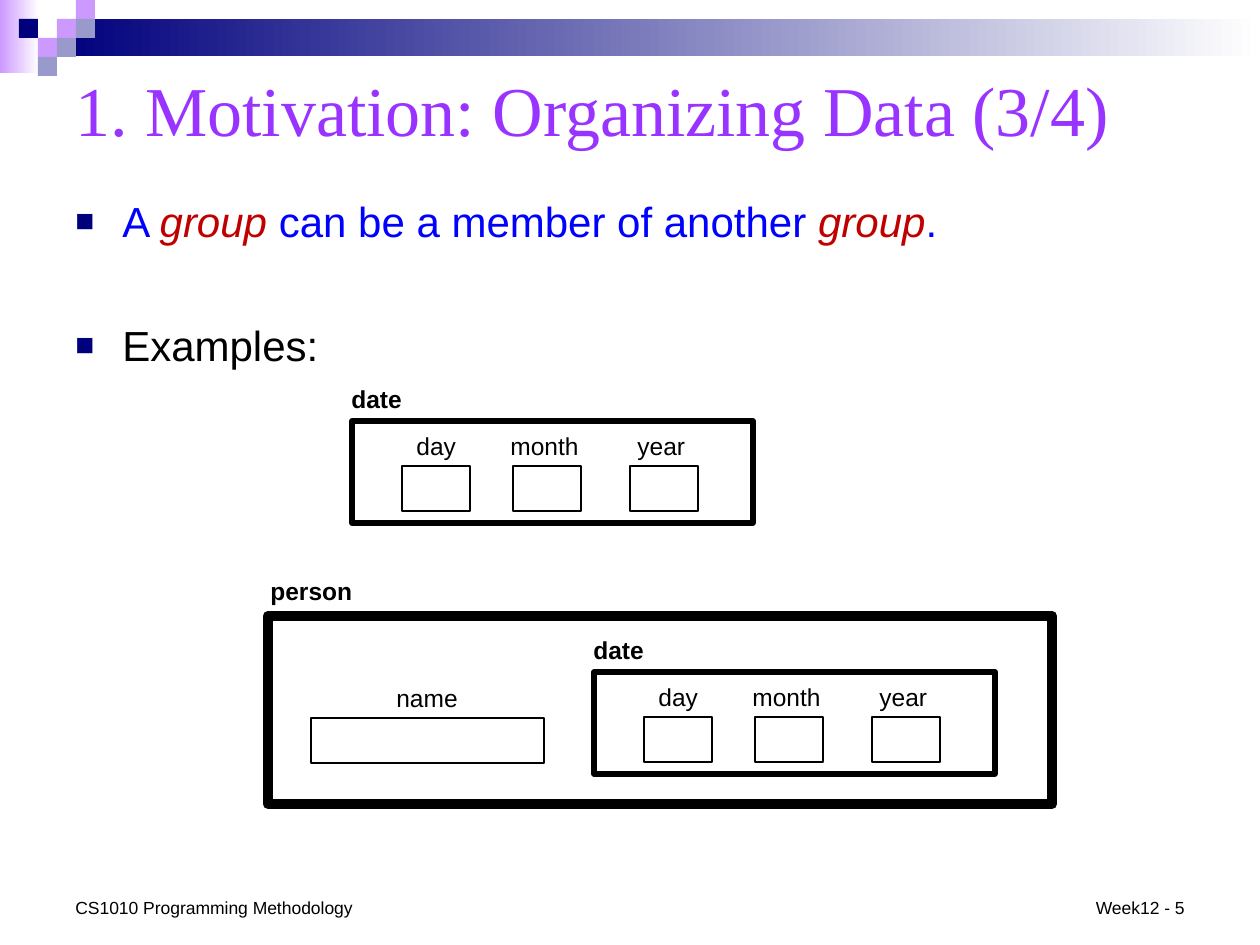
"""Build the slide on nested groups of data."""
import dataclasses

import lxml.etree
import pptx
import pptx.dml.color
import pptx.enum.shapes
import pptx.enum.text
import pptx.oxml.ns
import pptx.util

ANCHOR = pptx.enum.text.MSO_ANCHOR
ALIGN = pptx.enum.text.PP_ALIGN


@dataclasses.dataclass(frozen=True)
class Theme:
    sans: str = "Arial"
    serif: str = "Times New Roman"
    black: str = "000000"
    white: str = "FFFFFF"
    navy: str = "00007D"
    lilac: str = "CC99FF"
    slate: str = "9999CC"
    purple: str = "9933FF"
    blue: str = "0000FF"
    red: str = "C00000"
    title: int = 40
    body: int = 24
    label: int = 14
    foot: int = 10


def px(num):
    return pptx.util.Emu(round(num * 914400 / 126))


def rgb(code):
    return pptx.dml.color.RGBColor.from_string(code)


class Deck:
    def __init__(self, theme):
        self.theme = theme
        self.file = pptx.Presentation()
        self.file.slide_width = px(1260)
        self.file.slide_height = px(945)
        self.slide = self.file.slides.add_slide(self.file.slide_layouts[6])
        self.layer = self.slide.shapes

    def group(self):
        self.layer = self.slide.shapes.add_group_shape().shapes

    def ungroup(self):
        self.layer = self.slide.shapes

    def box(self, x, y, w, h, fill=None, line=0):
        kind = pptx.enum.shapes.MSO_SHAPE.RECTANGLE
        shape = self.layer.add_shape(kind, px(x), px(y), px(w), px(h))
        shape.shadow.inherit = False
        if fill:
            shape.fill.solid()
            shape.fill.fore_color.rgb = rgb(fill)
        else:
            shape.fill.background()
        if line:
            shape.line.color.rgb = rgb(self.theme.black)
            shape.line.width = pptx.util.Pt(line)
        else:
            shape.line.fill.background()
        return shape

    def fade(self, x, y, w, h, start):
        fill = self.box(x, y, w, h).fill
        fill.gradient()
        fill.gradient_angle = 0
        ends = (start, self.theme.white)
        for place, (stop, tint) in enumerate(zip(fill.gradient_stops, ends)):
            stop.position = place
            stop.color.rgb = rgb(tint)

    def style(self, run, size, tint, face=None, bold=False, slant=False):
        font = run.font
        font.name = face or self.theme.sans
        font.size = pptx.util.Pt(size)
        font.color.rgb = rgb(tint)
        font.bold = bold
        font.italic = slant

    def frame(self, x, y, w, h, anchor=ANCHOR.TOP):
        text = self.layer.add_textbox(px(x), px(y), px(w), px(h)).text_frame
        text.word_wrap = True
        text.vertical_anchor = anchor
        return text

    def text(self, x, y, w, h, words, size, tint=None, face=None, bold=False,
             anchor=ANCHOR.TOP, align=ALIGN.LEFT):
        text = self.frame(x, y, w, h, anchor)
        text.text = words
        line = text.paragraphs[0]
        line.alignment = align
        self.style(line.runs[0], size, tint or self.theme.black, face, bold)

    def label(self, x, y, w, words, bold=False):
        self.text(x, y, w, 43, words, self.theme.label, bold=bold)

    def list(self, x, y, w, h, items):
        text = self.frame(x, y, w, h)
        for index, (gap, parts) in enumerate(items):
            line = text.add_paragraph() if index else text.paragraphs[0]
            line.space_before = pptx.util.Pt(gap)
            self.bullet(line)
            for words, tint, slant in parts:
                run = line.add_run()
                run.text = words
                self.style(run, self.theme.body, tint, slant=slant)

    def bullet(self, line):
        name = pptx.oxml.ns.qn
        props = line._p.get_or_add_pPr()
        props.set("marL", str(px(47)))
        props.set("indent", str(px(-47)))
        add = lxml.etree.SubElement
        add(add(props, name("a:buClr")), name("a:srgbClr"), val=self.theme.navy)
        add(props, name("a:buSzPct"), val="75000")
        add(props, name("a:buFont"), typeface=self.theme.sans)
        add(props, name("a:buChar"), char="■")

    def field(self, x, y, w, words, shift, room):
        self.box(x, y, w, 45, self.theme.white, 1)
        self.label(x + shift, y - 41, room, words)

    def date(self, x, y):
        fields = (("day", 50, 2, 67), ("month", 161, -15, 97),
                  ("year", 278, -5, 74))
        for words, left, shift, room in fields:
            self.field(x + left, y + 45, 68, words, shift, room)
        self.label(x - 13, y - 43, 88, "date", True)
        self.box(x, y, 401, 102, line=3)


def main():
    theme = Theme()
    deck = Deck(theme)

    deck.group()
    deck.fade(0, 0, 39, 73, theme.lilac)
    deck.fade(57, 19, 1203, 37, theme.navy)
    tile = 19
    tiles = ((3, 1, theme.lilac), (4, 0, theme.lilac), (4, 1, theme.slate),
             (2, 2, theme.lilac), (1, 1, theme.navy), (3, 2, theme.slate),
             (2, 3, theme.slate))
    for col, row, tint in tiles:
        deck.box(col * tile, row * tile, tile, tile, tint)
    deck.ungroup()

    deck.text(63, 53, 1134, 111, "1. Motivation: Organizing Data (3/4)",
              theme.title, theme.purple, theme.serif, anchor=ANCHOR.MIDDLE)
    deck.text(63, 890, 305, 34, "CS1010 Programming Methodology",
              theme.foot, anchor=ANCHOR.BOTTOM)
    deck.list(63, 189, 1134, 186, (
        (6, (("A ", theme.blue, False),
             ("group ", theme.red, True),
             ("can be a member of another ", theme.blue, False),
             ("group", theme.red, True),
             (".", theme.blue, False))),
        (42, (("Examples:", theme.black, False),)),
    ))
    deck.text(1081, 890, 116, 34, "Week12 - 5", theme.foot,
              anchor=ANCHOR.BOTTOM, align=ALIGN.RIGHT)

    deck.group()
    deck.date(352, 421)
    deck.group()
    deck.date(594, 672)
    deck.field(311, 718, 233, "name", 73, 87)
    deck.label(258, 570, 139, "person", True)
    deck.box(268, 616, 784, 188, line=6)

    deck.file.save("out.pptx")


if __name__ == "__main__":
    main()
